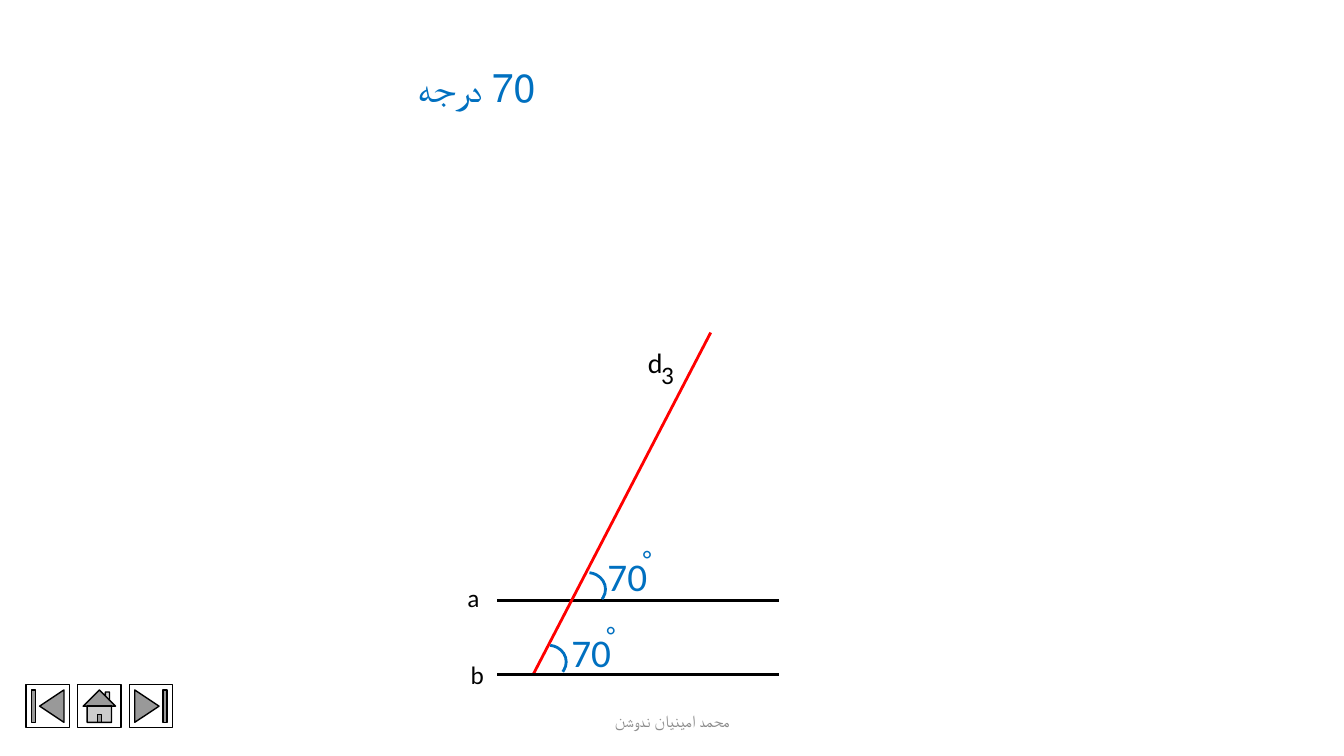
"""Build a slide showing two parallel lines cut by a transversal at 70 degrees."""
from pptx import Presentation
from pptx.dml.color import RGBColor
from pptx.enum.shapes import MSO_CONNECTOR, MSO_SHAPE
from pptx.enum.text import MSO_ANCHOR, MSO_AUTO_SIZE, PP_ALIGN
from pptx.oxml.ns import qn
from pptx.util import Cm, Pt
from lxml.etree import SubElement

BLACK = RGBColor(0, 0, 0)
WHITE = RGBColor(255, 255, 255)
RED = RGBColor(255, 0, 0)
BLUE = RGBColor(0x00, 0x70, 0xC0)
GRAY = RGBColor(0x8C, 0x8C, 0x8C)

ANSWER = ("70 درجه", (9.78, 1.47, 3.96, 1.45))
FOOTER = ("محمد امینیان ندوشن", (11.23, 17.65, 11.43, 1.02))
LINES = [
    ((19.63, 15.14), (12.52, 15.14), BLACK),
    ((17.91, 8.38), (13.44, 16.99), RED),
    ((19.63, 16.99), (12.52, 16.99), BLACK),
]
LINE_LABELS = [
    ("a", (11.53, 14.55, 0.81, 1.02), 18),
    ("b", (11.61, 16.48, 0.86, 1.02), 18),
    ("d", (16.08, 8.59, 0.89, 1.12), 20),
    ("3", (16.41, 8.94, 0.86, 1.02), 18),
]
ANGLES = [
    {"arc": (14.35, 14.43), "value": (15.06, 13.79)},
    {"arc": (13.36, 16.26), "value": (14.15, 15.72)},
]
ARC_SIZE = (0.91, 0.84)
ARC_ENDS = (277.13, 34.12)
DEGREE_OFFSET = (0.89, -0.23)
BUTTONS = [
    MSO_SHAPE.ACTION_BUTTON_BEGINNING,
    MSO_SHAPE.ACTION_BUTTON_HOME,
    MSO_SHAPE.ACTION_BUTTON_END,
]
BUTTON_LEFT, BUTTON_TOP, BUTTON_SIZE, BUTTON_STEP = 0.66, 17.25, 1.09, 1.3


def add_text(slide, text, box, size=18, color=BLACK, align=None, rtl=False,
             wrap=False, grow=True, anchor=MSO_ANCHOR.TOP):
    shape = slide.shapes.add_textbox(*map(Cm, box))
    frame = shape.text_frame
    frame.word_wrap = wrap
    frame.auto_size = MSO_AUTO_SIZE.SHAPE_TO_FIT_TEXT if grow else MSO_AUTO_SIZE.NONE
    frame.vertical_anchor = anchor
    paragraph = frame.paragraphs[0]
    paragraph.alignment = align
    if rtl:
        paragraph._p.get_or_add_pPr().set("rtl", "1")
    run = paragraph.add_run()
    run.text = text
    run.font.name = "Calibri"
    run.font.size = Pt(size)
    run.font.color.rgb = color


def add_line(slide, start, end, color):
    line = slide.shapes.add_connector(MSO_CONNECTOR.STRAIGHT, *map(Cm, start + end))
    line.line.color.rgb = color
    line.line.width = Pt(2)
    SubElement(line._element.spPr, qn("a:effectLst"))


def add_outline(slide, kind, box, color, width):
    shape = slide.shapes.add_shape(kind, *map(Cm, box))
    shape.shadow.inherit = False
    shape.line.color.rgb = color
    shape.line.width = Pt(width)
    return shape


def add_angle(slide, angle):
    arc = add_outline(slide, MSO_SHAPE.ARC, angle["arc"] + ARC_SIZE, BLUE, 2)
    arc.fill.background()
    for index, degrees in enumerate(ARC_ENDS):
        arc.adjustments[index] = degrees * 0.6
    left, top = angle["value"]
    add_text(slide, "70", (left, top, 1.68, 1.45), size=28, color=BLUE)
    degree_box = (left + DEGREE_OFFSET[0], top + DEGREE_OFFSET[1], 0.74, 1.02)
    add_text(slide, "°", degree_box, color=BLUE)


def main():
    presentation = Presentation()
    presentation.slide_width = Cm(33.87)
    presentation.slide_height = Cm(19.05)
    slide = presentation.slides.add_slide(presentation.slide_layouts[6])

    add_text(slide, *ANSWER, size=28, color=BLUE, align=PP_ALIGN.RIGHT, rtl=True, wrap=True)
    for start, end, color in LINES:
        add_line(slide, start, end, color)
    for text, box, size in LINE_LABELS:
        add_text(slide, text, box, size=size)
    for angle in ANGLES:
        add_angle(slide, angle)
    for index, kind in enumerate(BUTTONS):
        box = (BUTTON_LEFT + index * BUTTON_STEP, BUTTON_TOP, BUTTON_SIZE, BUTTON_SIZE)
        button = add_outline(slide, kind, box, BLACK, 1)
        button.fill.solid()
        button.fill.fore_color.rgb = WHITE
    add_text(slide, *FOOTER, size=12, color=GRAY, align=PP_ALIGN.CENTER,
             wrap=True, grow=False, anchor=MSO_ANCHOR.MIDDLE)

    presentation.save("out.pptx")


if __name__ == "__main__":
    main()
